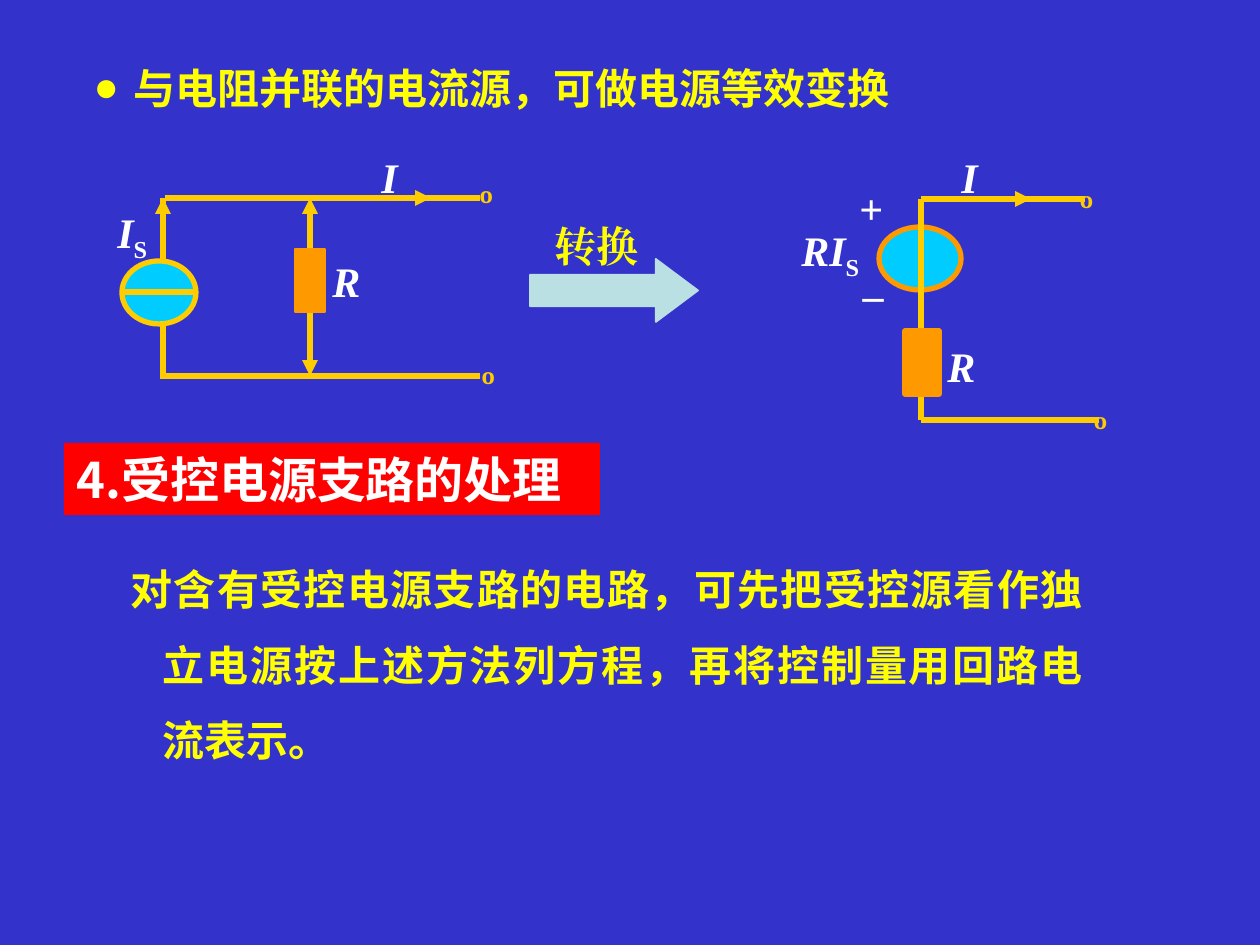
from dataclasses import dataclass
from typing import Any

from lxml import etree
from pptx import Presentation
from pptx import util as u
from pptx.dml.color import RGBColor
from pptx.enum import shapes, text
from pptx.oxml.ns import qn


@dataclass(frozen=True)
class Theme:
    background: str = "3333CC"
    wire: str = "FFCC00"
    source: str = "00CCFF"
    resistor: str = "FF9900"
    arrow: str = "BBE0E3"
    banner: str = "FF0000"
    label: str = "FFFFFF"
    body: str = "FFFF00"
    body_size: int = 24
    heading_size: int = 28
    cjk: str = "Noto Sans CJK SC"
    latin: str = "Times New Roman"


T = Theme()
LEFT, CENTER, JUSTIFY = text.PP_ALIGN.LEFT, text.PP_ALIGN.CENTER, text.PP_ALIGN.JUSTIFY
TOP, MIDDLE = text.MSO_ANCHOR.TOP, text.MSO_ANCHOR.MIDDLE


def px(n):
    return u.Emu(round(n * 914400 / 126))


def rgb(value):
    return RGBColor.from_string(value)


def write(sp, content, sub="", size=T.body_size, font=T.latin, color=T.label,
          italic=False, align=LEFT, anchor=TOP, wrap=True, spacing=1.0,
          margin=0, indent=0, bullet=None):
    """Fill a shape with one bold paragraph; sub is an upright subscript."""
    tf = sp.text_frame
    tf.auto_size = text.MSO_AUTO_SIZE.NONE
    tf.word_wrap, tf.vertical_anchor = wrap, anchor
    tf.margin_left = tf.margin_right = u.Inches(0.1)
    tf.margin_top = tf.margin_bottom = u.Inches(0.05)
    p = tf.paragraphs[0]
    p.alignment, p.line_spacing, p.space_before = align, spacing, u.Pt(0)
    pPr = p._p.get_or_add_pPr()
    pPr.set("marL", str(px(margin)))
    pPr.set("indent", str(px(indent)))
    if bullet:
        bu_color = etree.SubElement(pPr, qn("a:buClr"))
        etree.SubElement(bu_color, qn("a:srgbClr"), val=color)
        etree.SubElement(pPr, qn("a:buChar"), char=bullet)
    else:
        etree.SubElement(pPr, qn("a:buNone"))
    for piece, is_sub in ((content, False), (sub, True)):
        if not piece:
            continue
        r = p.add_run()
        r.text = piece
        r.font.size, r.font.bold = u.Pt(size), True
        r.font.italic = italic and not is_sub
        r.font.name, r.font.color.rgb = font, rgb(color)
        rPr = r._r.get_or_add_rPr()
        etree.SubElement(rPr, qn("a:ea"), typeface=font)
        if is_sub:
            rPr.set("baseline", "-25000")


def place(sp, x, y, w, h):
    sp.left, sp.top, sp.width, sp.height = map(px, (x, y, w, h))


@dataclass
class Region:
    """A group whose members are placed relative to its top left corner."""
    group: Any
    x: int
    y: int

    def at(self, x, y):
        return px(self.x + x), px(self.y + y)

    def label(self, x, y, w, h, content, **fmt):
        sp = self.group.shapes.add_textbox(*self.at(x, y), px(w), px(h))
        write(sp, content, **fmt)

    def symbol(self, x, y, w, content, h=63, **fmt):
        self.label(x, y, w, h, content, italic=True, **fmt)

    def sign(self, x, y, w, content, **fmt):
        self.label(x, y, w, 63, content, align=CENTER, anchor=MIDDLE, **fmt)

    def terminal(self, x, y, w):
        self.sign(x, y, w, "º", color=T.wire)

    def shape(self, kind, x, y, w, h, fill, line, weight):
        sp = self.group.shapes.add_shape(kind, *self.at(x, y), px(w), px(h))
        sp.shadow.inherit = False
        sp.fill.solid()
        sp.fill.fore_color.rgb = rgb(fill)
        sp.line.color.rgb, sp.line.width = rgb(line), u.Pt(weight)
        return sp

    def source(self, x, y, w, line):
        self.shape(shapes.MSO_SHAPE.OVAL, x, y, w, 63, T.source, line, 3)

    def resistor(self, x, y, w, weight):
        self.shape(shapes.MSO_SHAPE.RECTANGLE, x, y, w, 63, T.resistor, T.resistor, weight)

    def wire(self, x1, y1, x2, y2, head=False, tail=False):
        c = self.group.shapes.add_connector(shapes.MSO_CONNECTOR.STRAIGHT,
                                            *self.at(x1, y1), *self.at(x2, y2))
        c.line.color.rgb, c.line.width = rgb(T.wire), u.Pt(3)
        spPr = c._element.spPr
        ln = spPr.find(qn("a:ln"))
        for tag, wanted in (("a:headEnd", head), ("a:tailEnd", tail)):
            if wanted:
                etree.SubElement(ln, qn(tag), type="triangle")
        etree.SubElement(spPr, qn("a:effectLst"))


def current_source_circuit(s, x, y):
    g = Region(s.shapes.add_group_shape(), x, y)
    top, bottom, left, branch, right = 53, 231, 58, 205, 375
    g.wire(60, top, right, top)
    g.symbol(264, 0, 62, "I")
    g.symbol(215, 104, 55, "R")
    g.wire(55, bottom, right, bottom)
    g.wire(left, top, left, bottom)
    g.source(17, 116, 74, T.wire)
    g.wire(17, 147, 91, 147)
    g.wire(left, 104, left, top, tail=True)
    g.wire(branch, bottom, branch, top, head=True, tail=True)
    g.resistor(190, 104, 30, 1)
    g.symbol(0, 55, 74, "I", h=71, sub="S")
    g.wire(202, top, 326, top, tail=True)
    g.terminal(362, 26, 30)
    g.terminal(364, 207, 30)


def conversion_arrow(s, x, y):
    g = Region(s.shapes.add_group_shape(), x, y)
    sp = g.shape(shapes.MSO_SHAPE.RIGHT_ARROW, 0, 45, 168, 63, T.arrow, T.arrow, 1)
    sp.adjustments[0], sp.adjustments[1] = 0.5, 0.67
    g.label(12, 0, 116, 63, "转换", color=T.body)


def voltage_source_circuit(s, x, y):
    g = Region(s.shapes.add_group_shape(), x, y)
    top, bottom, left = 54, 275, 132
    g.source(90, 82, 82, T.resistor)
    g.sign(58, 31, 49, "+", wrap=False)
    g.sign(54, 103, 60, "_")
    g.symbol(0, 73, 112, "RI", h=71, sub="S")
    g.wire(left, top, left, bottom)
    g.wire(left, top, 296, top)
    g.wire(left, bottom, 310, bottom)
    g.wire(left, top, 242, top, tail=True)
    g.symbol(160, 0, 68, "I")
    g.resistor(116, 186, 34, 3)
    g.symbol(146, 189, 210, "R")
    g.terminal(278, 31, 39)
    g.terminal(292, 252, 39)


def text_blocks(heading, point, explanation):
    place(point, 81, 56, 848, 63)
    write(point, "与电阻并联的电流源，可做电源等效变换", font=T.cjk, color=T.body,
          wrap=False, margin=40, indent=-40, bullet="●")
    place(heading, 64, 443, 536, 72)
    heading.fill.solid()
    heading.fill.fore_color.rgb = rgb(T.banner)
    write(heading, "4.受控电源支路的处理", font=T.cjk, size=T.heading_size)
    place(explanation, 84, 532, 1012, 239)
    write(explanation,
          "对含有受控电源支路的电路，可先把受控源看作独立电源按上述方法列方程，"
          "再将控制量用回路电流表示。",
          font=T.cjk, color=T.body, align=JUSTIFY, spacing=1.5, margin=66, indent=-32)


def main():
    prs = Presentation()
    prs.slide_width, prs.slide_height = px(1260), px(945)
    s = prs.slides.add_slide(prs.slide_layouts.get_by_name("Two Content"))
    s.background.fill.solid()
    s.background.fill.fore_color.rgb = rgb(T.background)
    text_blocks(*(s.placeholders[i] for i in range(3)))
    current_source_circuit(s, 105, 145)
    conversion_arrow(s, 530, 214)
    voltage_source_circuit(s, 789, 145)
    prs.save("out.pptx")


if __name__ == "__main__":
    main()
